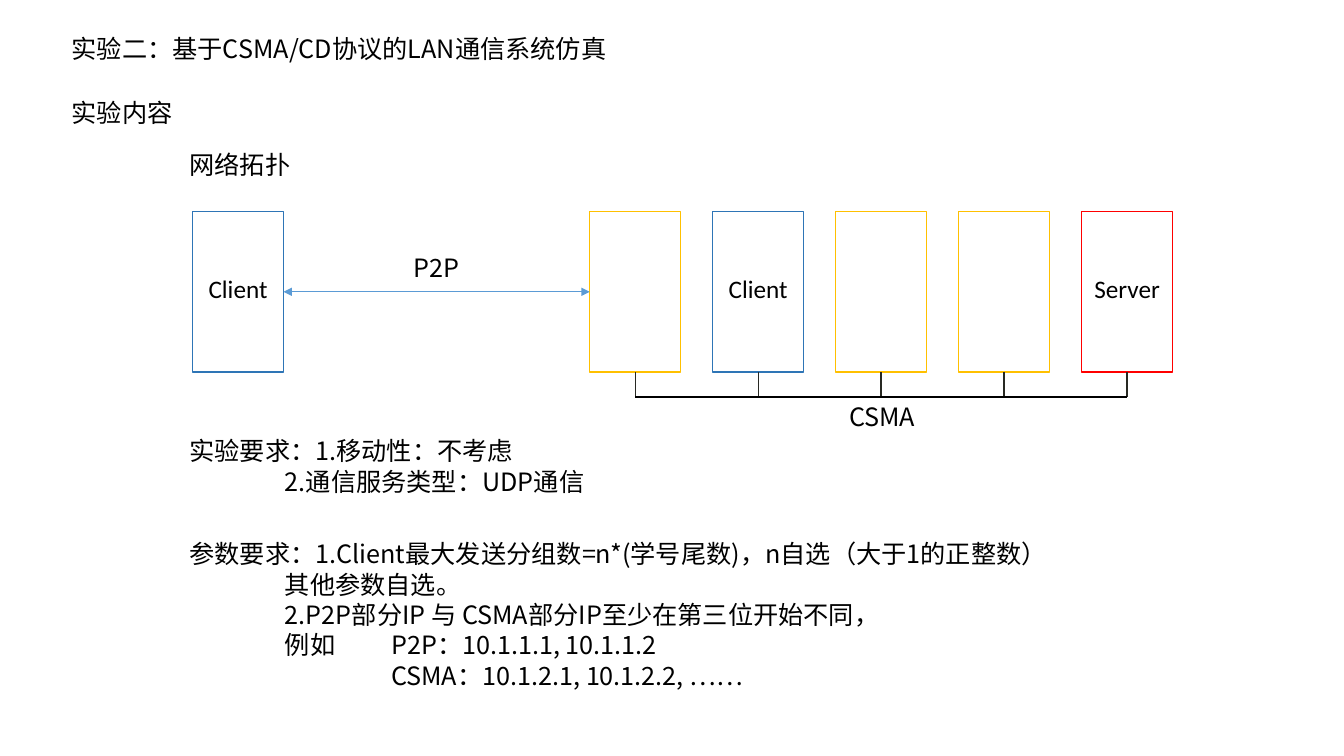
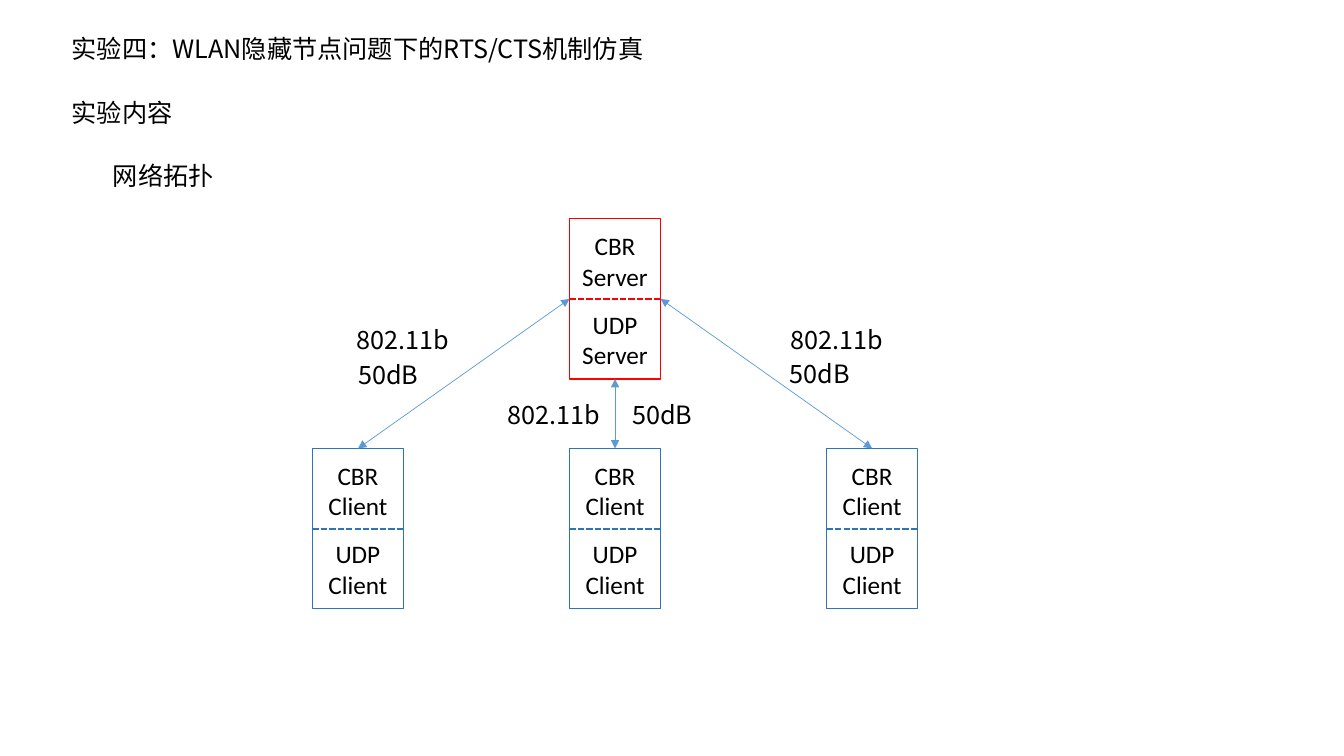
from dataclasses import dataclass

import lxml.etree
import pptx
import pptx.dml.color
import pptx.enum.dml
import pptx.enum.shapes
import pptx.enum.text
import pptx.oxml.ns
import pptx.shapes.autoshape
import pptx.shapes.connector
import pptx.slide
import pptx.text.text
import pptx.util


@dataclass(frozen=True)
class Theme:
    text: str = "000000"
    client: str = "2E75B6"
    station: str = "FFC000"
    server: str = "FF0000"
    link: str = "5B9BD5"
    bus: str = "000000"
    drop: str = "282923"
    heading_font: str = "Noto Sans CJK SC"
    node_font: str = "Calibri"
    text_size: float = 18
    line_pitch: float = 21.7
    outline: float = 1
    divider: float = 1.5
    thin: float = 0.5


@dataclass(frozen=True)
class Box:
    column: float
    row: float
    columns: float
    rows: float = 5.33


@dataclass(frozen=True)
class Line:
    text: str
    margin: float = 0
    hanging: float = 0


@dataclass(frozen=True)
class Node:
    column: float
    row: float
    color: str
    label: str = ""


@dataclass(frozen=True)
class Label:
    column: float
    row: float
    text: str


THEME = Theme()
SLIDE_WIDTH = pptx.util.Inches(13.33)
SLIDE_HEIGHT = pptx.util.Inches(7.5)
GRID = 100
NODE_COLUMNS, NODE_ROWS = 6.77, 21.2
LABEL_COLUMNS = 9
ITEM_MARGIN, EXAMPLE_MARGIN = 7.1, 15
TITLE_BOX = Box(4.58, 3.73, 50.25)
CONTENT_BOX = Box(4.58, 12.13, 33)


def across(columns: float) -> int:
    return round(SLIDE_WIDTH * columns / GRID)


def down(rows: float) -> int:
    return round(SLIDE_HEIGHT * rows / GRID)


def rgb(color: str) -> pptx.dml.color.RGBColor:
    return pptx.dml.color.RGBColor.from_string(color)


def style_paragraph(paragraph: pptx.text.text._Paragraph, font_name: str, centered: bool) -> None:
    alignments = pptx.enum.text.PP_ALIGN
    paragraph.alignment = alignments.CENTER if centered else alignments.LEFT
    paragraph.space_before = pptx.util.Pt(0)
    if font_name == THEME.heading_font:
        paragraph.line_spacing = pptx.util.Pt(THEME.line_pitch)
    font = paragraph.font
    font.size = pptx.util.Pt(THEME.text_size)
    font.bold = False
    font.color.rgb = rgb(THEME.text)
    font.name = font_name
    properties = paragraph._p.get_or_add_pPr()
    defaults = properties.find(pptx.oxml.ns.qn("a:defRPr"))
    lxml.etree.SubElement(defaults, pptx.oxml.ns.qn("a:ea"), typeface=font_name)


def fill_placeholder(slide: pptx.slide.Slide, index: int, box: Box, lines: list[Line]) -> None:
    shape = slide.placeholders[index]
    shape.left, shape.top = across(box.column), down(box.row)
    shape.width, shape.height = across(box.columns), down(box.rows)
    frame = shape.text_frame
    frame.word_wrap = True
    frame.auto_size = pptx.enum.text.MSO_AUTO_SIZE.NONE
    frame.vertical_anchor = pptx.enum.text.MSO_ANCHOR.TOP
    frame.text = "\n".join(line.text for line in lines)
    for paragraph, line in zip(frame.paragraphs, lines):
        style_paragraph(paragraph, THEME.heading_font, False)
        properties = paragraph._p.get_or_add_pPr()
        properties.set("marL", str(across(line.margin)))
        properties.set("indent", str(-across(line.hanging)))
        defaults = properties.find(pptx.oxml.ns.qn("a:defRPr"))
        defaults.addprevious(lxml.etree.Element(pptx.oxml.ns.qn("a:buNone")))


def add_text(slide: pptx.slide.Slide, box: Box, text: str, font_name: str) -> None:
    text_box = slide.shapes.add_textbox(
        across(box.column), down(box.row), across(box.columns), down(box.rows)
    )
    text_box.text_frame.word_wrap = True
    text_box.text_frame.text = text
    style_paragraph(text_box.text_frame.paragraphs[0], font_name, True)


def add_label(slide: pptx.slide.Slide, label: Label) -> None:
    box = Box(label.column, label.row, LABEL_COLUMNS)
    add_text(slide, box, label.text, THEME.heading_font)


def add_node(slide: pptx.slide.Slide, node: Node) -> pptx.shapes.autoshape.Shape:
    shape = slide.shapes.add_shape(
        pptx.enum.shapes.MSO_SHAPE.RECTANGLE,
        across(node.column), down(node.row), across(NODE_COLUMNS), down(NODE_ROWS),
    )
    shape.shadow.inherit = False
    shape.fill.background()
    shape.line.color.rgb = rgb(node.color)
    shape.line.width = pptx.util.Pt(THEME.outline)
    if node.label:
        shape.text_frame.text = node.label
        style_paragraph(shape.text_frame.paragraphs[0], THEME.node_font, True)
        shape.text_frame.margin_bottom = pptx.util.Inches(0.12)
    return shape


def add_line(
    slide: pptx.slide.Slide, start: tuple[int, int], end: tuple[int, int], color: str, width: float
) -> pptx.shapes.connector.Connector:
    connector = slide.shapes.add_connector(
        pptx.enum.shapes.MSO_CONNECTOR.STRAIGHT, *start, *end
    )
    connector.line.color.rgb = rgb(color)
    connector.line.width = pptx.util.Pt(width)
    lxml.etree.SubElement(connector._element.spPr, pptx.oxml.ns.qn("a:effectLst"))
    return connector


def add_link(
    slide: pptx.slide.Slide,
    first: pptx.shapes.autoshape.Shape,
    first_side: int,
    second: pptx.shapes.autoshape.Shape,
    second_side: int,
) -> None:
    connector = add_line(slide, (0, 0), (0, 0), THEME.link, THEME.thin)
    connector.begin_connect(first, first_side)
    connector.end_connect(second, second_side)
    outline = connector.line._get_or_add_ln()
    for end in ("a:headEnd", "a:tailEnd"):
        lxml.etree.SubElement(outline, pptx.oxml.ns.qn(end), type="triangle")


def add_stacked_node(slide: pptx.slide.Slide, node: Node, role: str) -> pptx.shapes.autoshape.Shape:
    shape = add_node(slide, node)
    for protocol, offset in (("CBR", 0.93), ("UDP", 11.27)):
        box = Box(node.column, node.row + offset, NODE_COLUMNS, 9.47)
        add_text(slide, box, f"{protocol} {role}", THEME.node_font)
    middle = shape.top + shape.height // 2
    divider = add_line(
        slide, (shape.left, middle), (shape.left + shape.width, middle), node.color, THEME.divider
    )
    divider.line.dash_style = pptx.enum.dml.MSO_LINE.SQUARE_DOT
    return shape


def start_slide(
    presentation: pptx.presentation.Presentation, layout: str, title: str, topology: Box
) -> pptx.slide.Slide:
    slide = presentation.slides.add_slide(presentation.slide_layouts.get_by_name(layout))
    fill_placeholder(slide, 0, TITLE_BOX, [Line(title)])
    fill_placeholder(slide, 1, CONTENT_BOX, [Line("实验内容")])
    fill_placeholder(slide, 2, topology, [Line("网络拓扑")])
    return slide


def build_lan_slide(presentation: pptx.presentation.Presentation) -> None:
    slide = start_slide(
        presentation, "Comparison", "实验二：基于CSMA/CD协议的LAN通信系统仿真", Box(13.35, 19.07, 21.6)
    )
    fill_placeholder(slide, 3, Box(13.35, 56.93, 36.23, 13.47), [
        Line("实验要求：1.移动性：不考虑"),
        Line("2.通信服务类型：UDP通信", ITEM_MARGIN),
    ])
    fill_placeholder(slide, 4, Box(13.35, 70.53, 69.38, 21.6), [
        Line("参数要求：1.Client最大发送分组数=n*(学号尾数)，n自选（大于1的正整数）"),
        Line("其他参数自选。", ITEM_MARGIN),
        Line("2.P2P部分IP 与 CSMA部分IP至少在第三位开始不同，", ITEM_MARGIN),
        Line("例如\tP2P：10.1.1.1, 10.1.1.2", EXAMPLE_MARGIN, EXAMPLE_MARGIN - ITEM_MARGIN),
        Line("CSMA：10.1.2.1, 10.1.2.2, ……", EXAMPLE_MARGIN),
    ])
    node_row, bus_row, first_column, pitch = 28, 52.53, 43.88, 9.15
    remote = add_node(slide, Node(14.33, node_row, THEME.client, "Client"))
    kinds = [
        (THEME.station, ""),
        (THEME.client, "Client"),
        (THEME.station, ""),
        (THEME.station, ""),
        (THEME.server, "Server"),
    ]
    stations = [
        add_node(slide, Node(first_column + position * pitch, node_row, color, label))
        for position, (color, label) in enumerate(kinds)
    ]
    add_link(slide, remote, 3, stations[0], 1)
    centers = [station.left + station.width // 2 for station in stations]
    for station, center in zip(stations, centers):
        drop = add_line(slide, (center, 0), (center, down(bus_row)), THEME.drop, THEME.outline)
        drop.begin_connect(station, 2)
    add_line(
        slide, (centers[0], down(bus_row)), (centers[-1], down(bus_row)), THEME.bus, THEME.outline
    )
    for label in (Label(27.98, 32.67, "P2P"), Label(61.13, 52.4, "CSMA")):
        add_label(slide, label)


def build_wlan_slide(presentation: pptx.presentation.Presentation) -> None:
    slide = start_slide(
        presentation, "Two Content", "实验四：WLAN隐藏节点问题下的RTS/CTS机制仿真", Box(7.65, 20.53, 21.6)
    )
    first_column, pitch, client_row = 23.25, 19.13, 59.33
    server = add_stacked_node(slide, Node(first_column + pitch, 28.93, THEME.server), "Server")
    for position, server_side in enumerate((1, 2, 3)):
        node = Node(first_column + position * pitch, client_row, THEME.client)
        client = add_stacked_node(slide, node, "Client")
        add_link(slide, client, 0, server, server_side)
    labels = [
        Label(25.5, 42.27, "802.11b"),
        Label(24.38, 46.8, "50dB"),
        Label(36.68, 52.13, "802.11b"),
        Label(44.78, 52.13, "50dB"),
        Label(57.75, 42.27, "802.11b"),
        Label(56.48, 46.67, "50dB"),
    ]
    for label in labels:
        add_label(slide, label)


def main() -> None:
    presentation = pptx.Presentation()
    presentation.slide_width, presentation.slide_height = SLIDE_WIDTH, SLIDE_HEIGHT
    build_lan_slide(presentation)
    build_wlan_slide(presentation)
    presentation.save("out.pptx")


if __name__ == "__main__":
    main()
